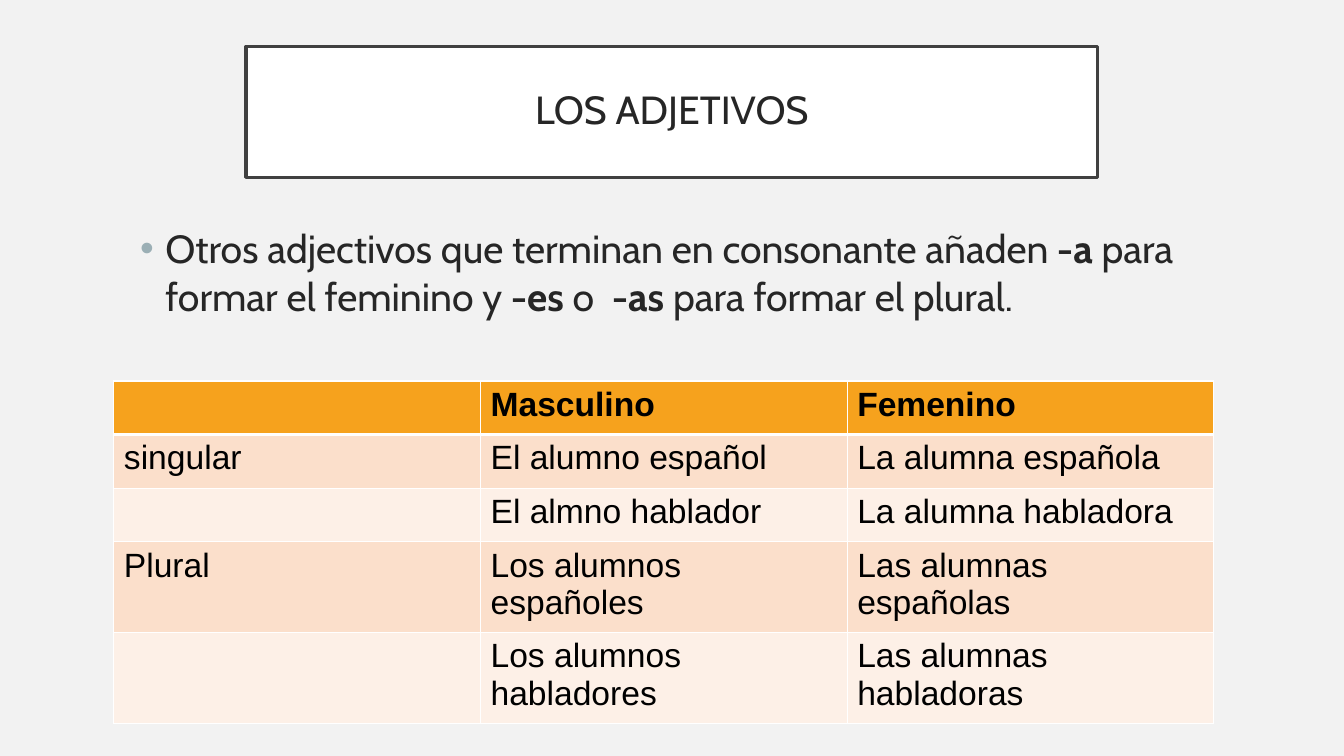
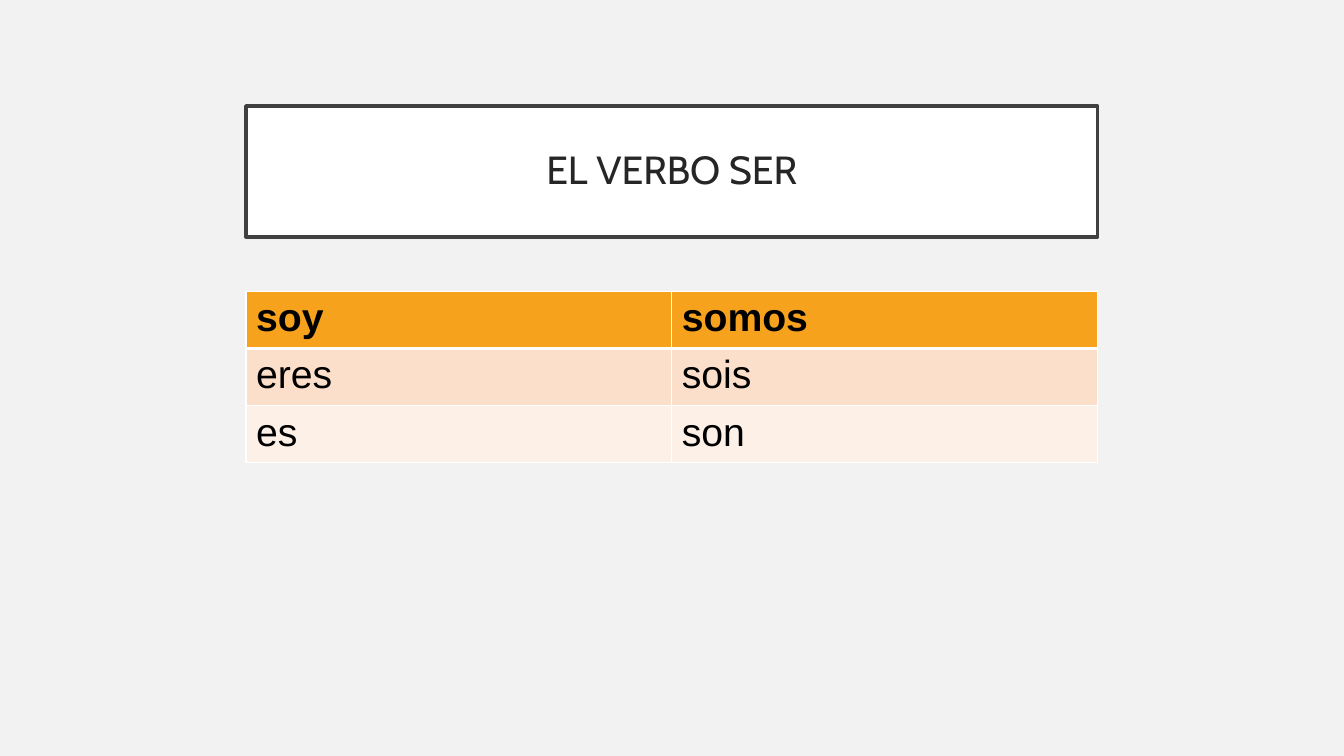
from pptx import Presentation
from pptx.dml.color import RGBColor
from pptx.enum.shapes import MSO_SHAPE
from pptx.enum.text import MSO_ANCHOR, PP_ALIGN
from pptx.oxml import parse_xml
from pptx.oxml.ns import nsdecls
from pptx.util import Cm, Pt

BACKGROUND, WHITE, FRAME, INK, BLACK = "F2F2F2", "FFFFFF", "404040", "262626", "000000"
BULLET, HEADER, BANDS = "9BAFB5", "F6A21D", ("FBDFCB", "FDF0E7")
TITLE_FONT, TABLE_FONT = "Cabin", "Arial"
TITLE_LEFT, TITLE_WIDTH, TITLE_HEIGHT = 6.2, 21.46, 3.3

SLIDES = [
    {
        "title": "LOS ADJETIVOS",
        "title_top": 1.17,
        "bullet": [
            ("Otros adjectivos que terminan en consonante añaden ", False),
            ("-a ", True),
            ("para formar el feminino y ", False),
            ("-es ", True),
            ("o  ", False),
            ("-as ", True),
            ("para formar el plural.", False),
        ],
        "table": [
            ("", "Masculino", "Femenino"),
            ("singular", "El alumno español", "La alumna española"),
            ("", "El almno hablador", "La alumna habladora"),
            ("Plural", "Los alumnos españoles", "Las alumnas españolas"),
            ("", "Los alumnos habladores", "Las alumnas habladoras"),
        ],
        "table_box": (2.87, 9.6, 27.72),
        "row_heights": (1.35, 1.35, 1.35, 2.15, 2.15),
        "table_size": 24,
    },
    {
        "title": "EL VERBO SER",
        "title_top": 2.67,
        "table": [("soy", "somos"), ("eres", "sois"), ("es", "son")],
        "table_box": (6.2, 7.34, 21.46),
        "row_heights": (1.36, 1.36, 1.36),
        "table_size": 28,
    },
]


def color(value):
    return RGBColor.from_string(value)


def add_run(paragraph, text, font_name, size, ink, bold=False):
    run = paragraph.add_run()
    run.text = text
    run.font.name = font_name
    run.font.size = Pt(size)
    run.font.bold = bold
    run.font.color.rgb = color(ink)


def add_title(slide, text, top):
    shape = slide.shapes.add_shape(
        MSO_SHAPE.RECTANGLE, Cm(TITLE_LEFT), Cm(top), Cm(TITLE_WIDTH), Cm(TITLE_HEIGHT))
    shape.shadow.inherit = False
    shape.fill.solid()
    shape.fill.fore_color.rgb = color(WHITE)
    shape.line.color.rgb = color(FRAME)
    shape.line.width = Pt(2.5)
    frame = shape.text_frame
    frame.word_wrap = True
    frame.vertical_anchor = MSO_ANCHOR.MIDDLE
    paragraph = frame.paragraphs[0]
    paragraph.alignment = PP_ALIGN.CENTER
    paragraph.line_spacing = 0.9
    add_run(paragraph, text, TITLE_FONT, 28, INK)


def add_bullet(slide, runs):
    frame = slide.shapes.add_textbox(Cm(3.28), Cm(5.54), Cm(27.71), Cm(2.67)).text_frame
    frame.word_wrap = True
    paragraph = frame.paragraphs[0]
    properties = paragraph._p.get_or_add_pPr()
    indent = Cm(0.64)
    properties.set("marL", str(indent))
    properties.set("indent", str(-indent))
    for xml in (
        f'<a:buClr {nsdecls("a")}><a:srgbClr val="{BULLET}"/></a:buClr>',
        f'<a:buFont {nsdecls("a")} typeface="Arial"/>',
        f'<a:buChar {nsdecls("a")} char="•"/>',
    ):
        properties.append(parse_xml(xml))
    for text, bold in runs:
        add_run(paragraph, text, TITLE_FONT, 28, INK, bold)


def set_borders(cell, top, bottom):
    properties = cell._tc.get_or_add_tcPr()
    for side, points in (("L", 1), ("R", 1), ("T", top), ("B", bottom)):
        properties.append(parse_xml(
            f'<a:ln{side} {nsdecls("a")} w="{Pt(points)}"><a:solidFill>'
            f'<a:srgbClr val="{WHITE}"/></a:solidFill></a:ln{side}>'))


def add_table(slide, rows, box, heights, size):
    left, top, width = box
    columns = len(rows[0])
    table = slide.shapes.add_table(
        len(rows), columns, Cm(left), Cm(top), Cm(width), Cm(sum(heights))).table
    for column in table.columns:
        column.width = Cm(width / columns)
    for index, (texts, height) in enumerate(zip(rows, heights)):
        table.rows[index].height = Cm(height)
        is_header = index == 0
        for cell, text in zip(table.rows[index].cells, texts):
            set_borders(cell, 3 if index == 1 else 1, 3 if is_header else 1)
            cell.fill.solid()
            cell.fill.fore_color.rgb = color(HEADER if is_header else BANDS[(index - 1) % 2])
            if text:
                add_run(cell.text_frame.paragraphs[0], text, TABLE_FONT, size, BLACK, is_header)


def main():
    presentation = Presentation()
    presentation.slide_width, presentation.slide_height = Cm(33.87), Cm(19.05)
    background = presentation.slide_master.background.fill
    background.solid()
    background.fore_color.rgb = color(BACKGROUND)
    for content in SLIDES:
        slide = presentation.slides.add_slide(presentation.slide_layouts[6])
        add_title(slide, content["title"], content["title_top"])
        if "bullet" in content:
            add_bullet(slide, content["bullet"])
        add_table(slide, content["table"], content["table_box"],
                  content["row_heights"], content["table_size"])
    presentation.save("out.pptx")


if __name__ == "__main__":
    main()
